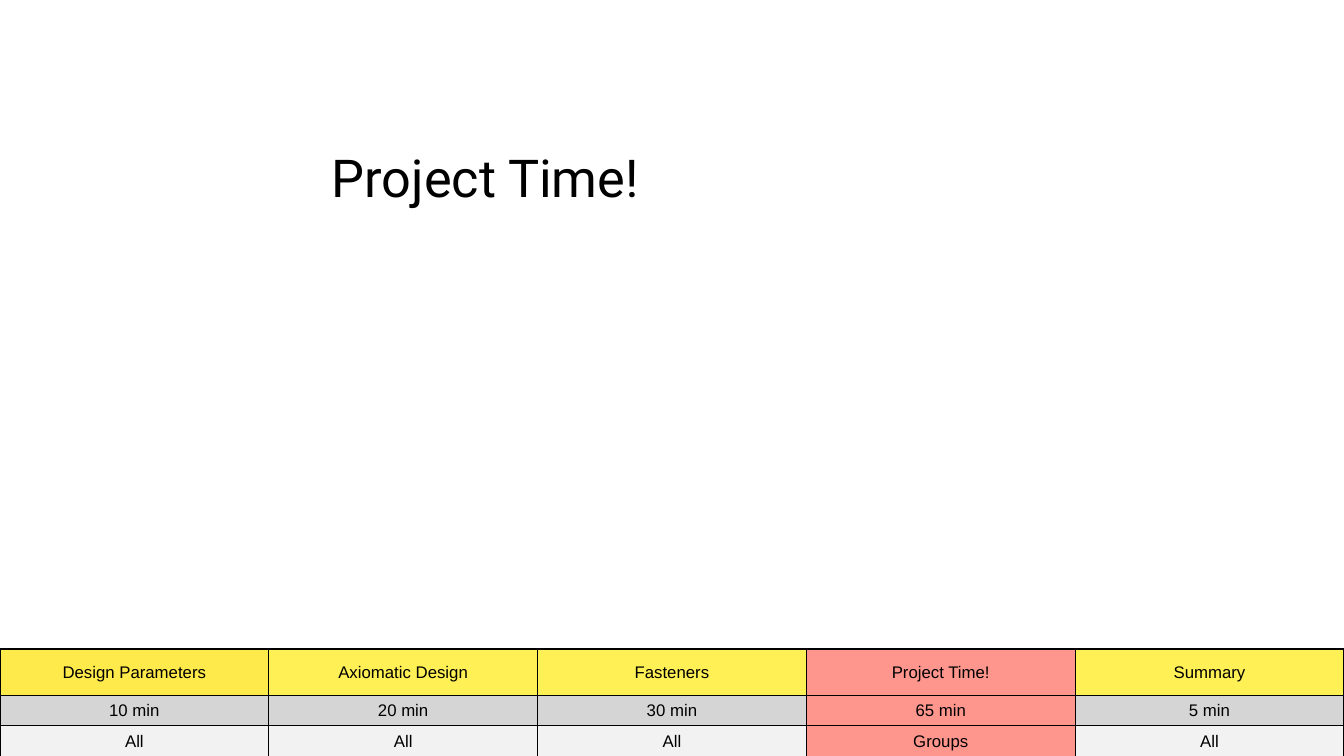
from lxml.etree import SubElement
from pptx import Presentation
from pptx.dml.color import RGBColor
from pptx.enum.text import MSO_ANCHOR as Anchor, PP_ALIGN as Align
from pptx.oxml.ns import qn
from pptx.util import Pt

COLORS = {
    "ink": "000000",
    "first": "FFEA4B",
    "topic": "FFF056",
    "time": "D5D5D5",
    "people": "F2F2F2",
    "current": "FF968D",
}
AGENDA = [
    ("Design Parameters", "10 min", "All"),
    ("Axiomatic Design", "20 min", "All"),
    ("Fasteners", "30 min", "All"),
    ("Project Time!", "65 min", "Groups"),
    ("Summary", "5 min", "All"),
]
CURRENT = 3
ROW_HEIGHTS = [33, 21.6, 22.3]


def add_text(para, words, font, size):
    span = para.add_run()
    span.text = words
    span.font.name = font
    span.font.size = Pt(size)
    span.font.bold = False
    span.font.color.rgb = RGBColor.from_string(COLORS["ink"])


def add_borders(cell, top_width):
    props = cell._tc.get_or_add_tcPr()
    for place, side in enumerate(("lnL", "lnR", "lnT", "lnB")):
        width = top_width if side == "lnT" else 1
        line = props.makeelement(qn(f"a:{side}"), {"w": str(Pt(width))})
        fill = SubElement(line, qn("a:solidFill"))
        SubElement(fill, qn("a:srgbClr"), val=COLORS["ink"])
        props.insert(place, line)


deck = Presentation()
deck.slide_width, deck.slide_height = Pt(960), Pt(540)
page = deck.slides.add_slide(deck.slide_layouts[5])

# Title
title = page.shapes.title
title.left, title.top, title.width, title.height = Pt(232.6), Pt(62.6), Pt(723.6), Pt(90.7)
frame = title.text_frame
frame.word_wrap = True
frame.vertical_anchor = Anchor.BOTTOM
frame.margin_left = frame.margin_right = Pt(4.3)
frame.margin_top = frame.margin_bottom = Pt(4.3)
heading = frame.paragraphs[0]
heading.alignment = Align.LEFT
heading.line_spacing = 0.9
add_text(heading, "Project Time!", "Roboto", 37.3)

# Agenda strip along the bottom edge
strip = page.shapes.add_table(3, len(AGENDA), Pt(0), Pt(463.7), Pt(960), Pt(sum(ROW_HEIGHTS)))
table = strip.table
table.first_row = table.horz_banding = False
for row, height in zip(table.rows, ROW_HEIGHTS):
    row.height = Pt(height)

for column, entry in enumerate(AGENDA):
    table.columns[column].width = Pt(960 / len(AGENDA))
    for row, (words, kind) in enumerate(zip(entry, ("topic", "time", "people"))):
        if column == CURRENT:
            kind = "current"
        elif row == 0 and column == 0:
            kind = "first"
        cell = table.cell(row, column)
        cell.fill.solid()
        cell.fill.fore_color.rgb = RGBColor.from_string(COLORS[kind])
        cell.vertical_anchor = Anchor.MIDDLE
        cell.margin_left = cell.margin_right = Pt(2)
        cell.margin_top = cell.margin_bottom = Pt(2)
        para = cell.text_frame.paragraphs[0]
        para.alignment = Align.CENTER
        add_text(para, words, "Arial", 12)
        add_borders(cell, 1.5 if row == 0 else 1)

deck.save("out.pptx")
